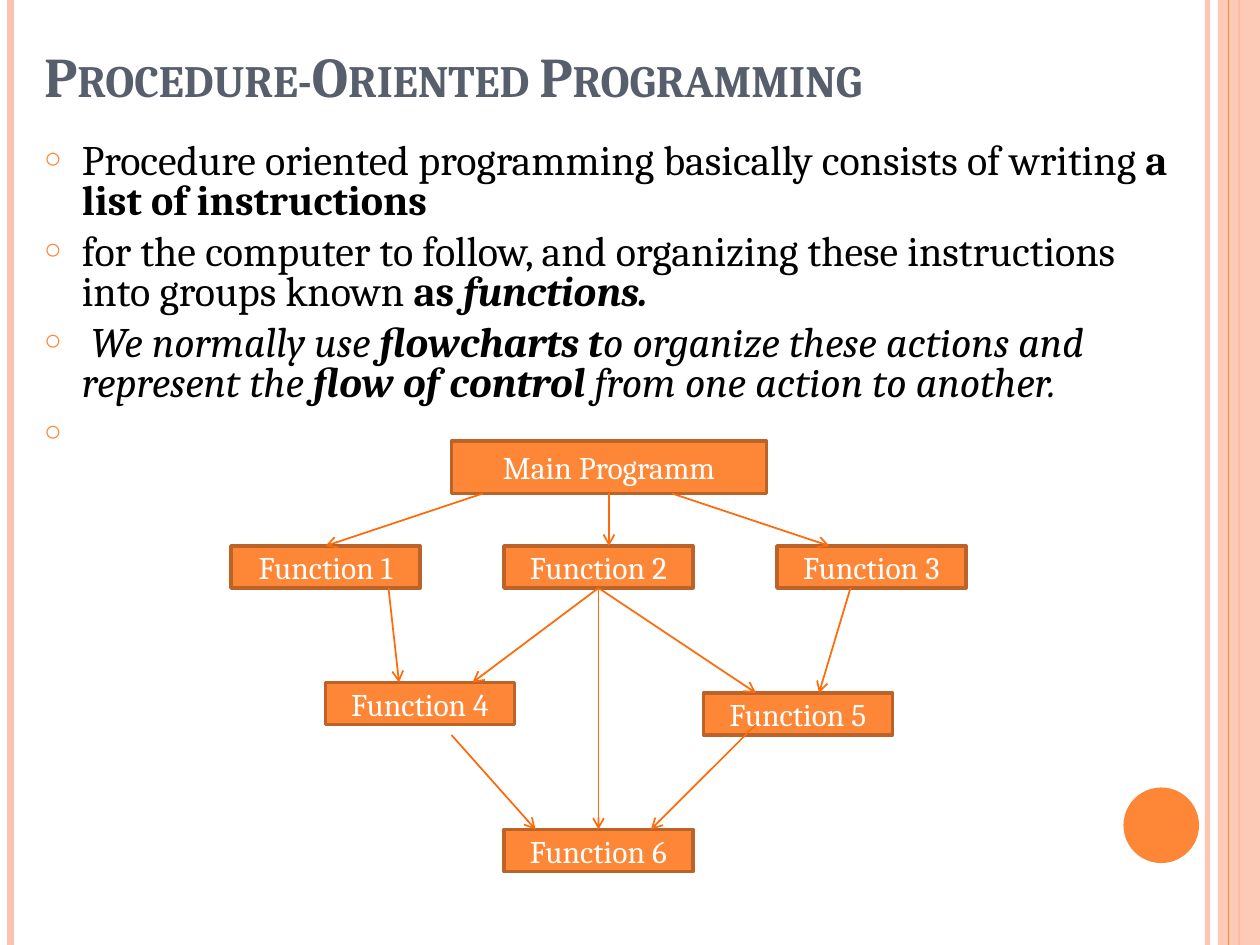
from dataclasses import dataclass
from typing import NamedTuple

from lxml.etree import SubElement as Sub
from pptx import Presentation
from pptx.dml.color import RGBColor as Rgb
from pptx.enum.shapes import MSO_CONNECTOR as Link, MSO_SHAPE as Form
from pptx.enum.text import MSO_ANCHOR as Anchor, MSO_AUTO_SIZE as Fit, PP_ALIGN as Align
from pptx.oxml.ns import qn
from pptx.util import Inches, Pt


@dataclass(frozen=True)
class Theme:
    font: str = "Cambria"
    head: str = "575F6D"
    ink: str = "000000"
    white: str = "FFFFFF"
    main: str = "FE8637"
    edge: str = "BC6329"
    pale: str = "FEC3AE"
    arrow: str = "FF6B0A"
    big: int = 32
    mid: int = 24
    small: int = 18


class Area(NamedTuple):
    col: float
    row: float
    wide: float
    high: float


class Node(NamedTuple):
    text: str
    area: Area


class Line(NamedTuple):
    start: tuple[float, float]
    end: tuple[float, float]
    color: str
    width: float
    alpha: int = 100
    arrow: bool = False


class Part(NamedTuple):
    text: str
    style: str = ""


LOOK = Theme()
COLS, ROWS = 120, 90
WIDE, HIGH = Inches(10), Inches(7.5)

RULES = [
    Line((115, 0), (115, ROWS), LOOK.pale, 3, 93),
    Line((1, 0), (1, ROWS), LOOK.pale, 4.5),
    Line((118, 0), (118, ROWS), LOOK.main, 1.5),
]
INNER = Line((117, 0), (117, ROWS), LOOK.main, 0.75)

ITEMS = [
    [Part("Procedure oriented programming basically consists of writing "),
     Part("a list of instructions", "b")],
    [Part("for the computer to follow, and organizing these instructions into groups known "),
     Part("as ", "b"), Part("functions.", "bi")],
    [Part(" We normally use ", "i"), Part("flowcharts t", "bi"),
     Part("o organize these actions and represent the ", "i"),
     Part("flow of control ", "bi"), Part("from one action to another.", "i")],
    [Part(" ")],
]

SPOTS = [(22, 52), (48, 52), (74, 52), (31, 65), (67, 66), (48, 79)]
NODES = [Node("Main Programm", Area(43, 42, 30, 5))] + [
    Node(f"Function {num}", Area(col, row, 18, 4))
    for num, (col, row) in enumerate(SPOTS, 1)
]
FLOWS = [
    ((58, 47), (58, 52)),
    ((64, 47), (79, 52)),
    ((46, 47), (31, 52)),
    ((57, 56), (45, 65)),
    ((57, 56), (72, 66)),
    ((37, 56), (38, 65)),
    ((57, 56), (57, 79)),
    ((72, 69), (62, 79)),
    ((43, 70), (51, 79)),
    ((81, 56), (78, 66)),
]


def across(col: float) -> int:
    return round(WIDE * col / COLS)


def down(row: float) -> int:
    return round(HIGH * row / ROWS)


def place(shape, area: Area) -> None:
    shape.left, shape.top = across(area.col), down(area.row)
    shape.width, shape.height = across(area.wide), down(area.high)


def fade(shape, alpha: int) -> None:
    if alpha < 100:
        color = next(shape._element.spPr.iter(qn("a:srgbClr")))
        Sub(color, qn("a:alpha"), val=str(alpha * 1000))


def paint(run, size: int, color: str, style: str = "") -> None:
    font = run.font
    font.name, font.size = LOOK.font, Pt(size)
    font.color.rgb = Rgb.from_string(color)
    font.bold, font.italic = "b" in style, "i" in style


def draw_line(slide, line: Line) -> None:
    (left, top), (right, base) = line.start, line.end
    link = slide.shapes.add_connector(
        Link.STRAIGHT, across(left), down(top), across(right), down(base))
    link.line.color.rgb = Rgb.from_string(line.color)
    link.line.width = Pt(line.width)
    fade(link, line.alpha)
    if line.arrow:
        Sub(link.line._get_or_add_ln(), qn("a:tailEnd"), type="arrow")
    Sub(link._element.spPr, qn("a:effectLst"))


def draw_shape(slide, form: Form, area: Area, color: str, alpha: int = 100):
    shape = slide.shapes.add_shape(form, 0, 0, 0, 0)
    place(shape, area)
    shape.shadow.inherit = False
    shape.fill.solid()
    shape.fill.fore_color.rgb = Rgb.from_string(color)
    fade(shape, alpha)
    shape.line.fill.background()
    return shape


def draw_node(slide, node: Node) -> None:
    shape = draw_shape(slide, Form.RECTANGLE, node.area, LOOK.main)
    shape.line.color.rgb = Rgb.from_string(LOOK.edge)
    shape.line.width = Pt(2)
    frame = shape.text_frame
    frame.text = node.text
    frame.vertical_anchor = Anchor.MIDDLE
    para = frame.paragraphs[0]
    para.alignment = Align.CENTER
    paint(para.runs[0], LOOK.small, LOOK.white)


def set_title(shape, text: str) -> None:
    place(shape, Area(3, 2, 111, 9))
    frame = shape.text_frame
    frame.text = text
    frame.auto_size, frame.vertical_anchor = Fit.NONE, Anchor.BOTTOM
    para = frame.paragraphs[0]
    para.alignment = Align.LEFT
    run = para.runs[0]
    paint(run, LOOK.big, LOOK.head, "b")
    run.font._element.set("cap", "small")


def add_mark(para) -> None:
    props = para._p.get_or_add_pPr()
    props.set("marL", str(Inches(0.3)))
    props.set("indent", str(-Inches(0.3)))
    Sub(Sub(props, qn("a:buClr")), qn("a:srgbClr"), val=LOOK.main)
    Sub(props, qn("a:buSzPct"), val="70000")
    Sub(props, qn("a:buChar"), char="○")


def set_list(shape, items: list[list[Part]]) -> None:
    place(shape, Area(3, 13, 111, 73))
    frame = shape.text_frame
    frame.auto_size, frame.vertical_anchor = Fit.NONE, Anchor.TOP
    for num, parts in enumerate(items):
        para = frame.add_paragraph() if num else frame.paragraphs[0]
        para.line_spacing, para.space_before = 0.8, Pt(6)
        add_mark(para)
        for part in parts:
            run = para.add_run()
            run.text = part.text
            paint(run, LOOK.mid, LOOK.ink, part.style)


def main() -> None:
    deck = Presentation()
    deck.slide_width, deck.slide_height = WIDE, HIGH
    slide = deck.slides.add_slide(deck.slide_layouts[1])
    set_title(slide.shapes.title, "Procedure-Oriented Programming")
    set_list(slide.placeholders[1], ITEMS)
    for rule in RULES:
        draw_line(slide, rule)
    draw_shape(slide, Form.RECTANGLE, Area(116, 0, 4, ROWS), LOOK.pale, 87)
    draw_line(slide, INNER)
    draw_shape(slide, Form.OVAL, Area(107, 75, 7.2, 7.2), LOOK.main)
    for node in NODES:
        draw_node(slide, node)
    for start, end in FLOWS:
        draw_line(slide, Line(start, end, LOOK.arrow, 1, arrow=True))
    deck.save("out.pptx")


if __name__ == "__main__":
    main()
